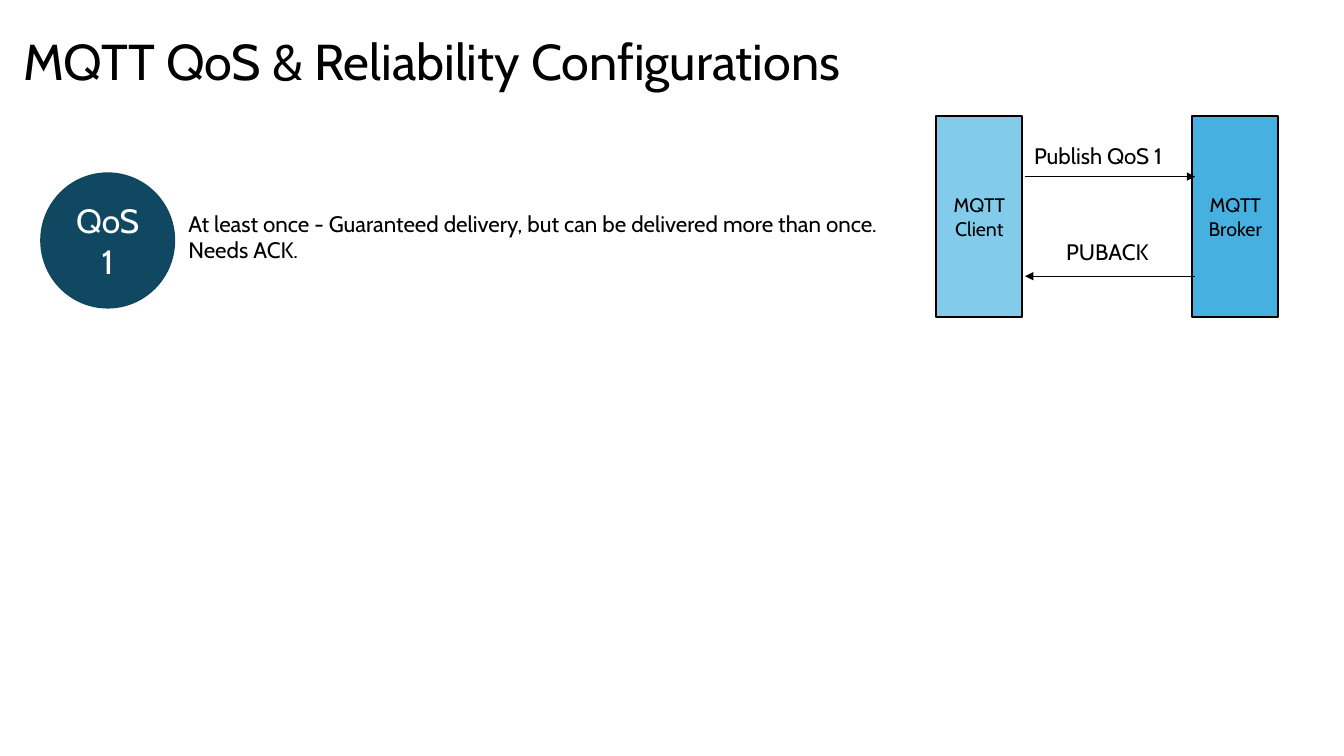
from dataclasses import dataclass

from lxml.etree import SubElement
from pptx import Presentation
from pptx.dml.color import RGBColor
from pptx.enum.shapes import MSO_CONNECTOR, MSO_SHAPE
from pptx.enum.text import MSO_ANCHOR, MSO_AUTO_SIZE, PP_ALIGN
from pptx.oxml.ns import qn
from pptx.slide import Slide
from pptx.text.text import TextFrame
from pptx.util import Cm, Pt


@dataclass(frozen=True)
class Theme:
    font: str = "Cabin"
    black: str = "000000"
    white: str = "FFFFFF"
    navy: str = "104862"
    navy_line: str = "104760"
    client: str = "83CBEB"
    broker: str = "46B1E1"
    title: float = 36
    badge: float = 24
    body: float = 16
    node: float = 14
    outline: float = 1.5
    arrow: float = 1


THEME = Theme()


@dataclass(frozen=True)
class Box:
    """A filled, labelled shape; lengths in centimetres."""
    kind: MSO_SHAPE
    left: float
    top: float
    width: float
    height: float
    text: str
    fill: str
    line: str
    size: float
    color: str = THEME.black


@dataclass(frozen=True)
class Label:
    left: float
    top: float
    width: float
    height: float
    text: str


@dataclass(frozen=True)
class Message:
    """A horizontal arrow between the two nodes."""
    start: float
    end: float
    y: float


NODE_TOP, NODE_W, NODE_H = 2.92, 2.16, 5.08
CLIENT_EDGE, BROKER_EDGE = 25.83, 30.12

BOXES = [
    Box(MSO_SHAPE.OVAL, 1.04, 4.37, 3.35, 3.38, "QoS\n1",
        THEME.navy, THEME.navy_line, THEME.badge, THEME.white),
    Box(MSO_SHAPE.RECTANGLE, 23.6, NODE_TOP, NODE_W, NODE_H, "MQTT Client",
        THEME.client, THEME.black, THEME.node),
    Box(MSO_SHAPE.RECTANGLE, 30.05, NODE_TOP, NODE_W, NODE_H, "MQTT Broker",
        THEME.broker, THEME.black, THEME.node),
]
LABELS = [
    Label(4.5, 5.16, 18.52, 1.63,
          "At least once - Guaranteed delivery, but can be delivered more than once.\n"
          "Needs ACK."),
    Label(25.81, 3.45, 3.94, 0.94, "Publish QoS 1"),
    Label(26.62, 5.87, 2.62, 0.94, "PUBACK"),
]
MESSAGES = [
    Message(CLIENT_EDGE, BROKER_EDGE, 4.45),
    Message(BROKER_EDGE, CLIENT_EDGE, 6.96),
]


def set_text(tf: TextFrame, text: str, size: float, color: str = THEME.black,
             align: PP_ALIGN = PP_ALIGN.LEFT,
             anchor: MSO_ANCHOR = MSO_ANCHOR.MIDDLE) -> None:
    tf.text = text
    frame_format = {"word_wrap": True, "auto_size": MSO_AUTO_SIZE.NONE,
                    "vertical_anchor": anchor}
    for name, value in frame_format.items():
        setattr(tf, name, value)
    for p in tf.paragraphs:
        p.alignment = align
        for r in p.runs:
            for name, value in {"name": THEME.font, "size": Pt(size)}.items():
                setattr(r.font, name, value)
            r.font.color.rgb = RGBColor.from_string(color)


def add_title(s: Slide, text: str) -> None:
    title = s.shapes.title
    place = {"left": 0.33, "top": 0.3, "width": 29.21, "height": 2.62}
    for name, value in place.items():
        setattr(title, name, Cm(value))
    set_text(title.text_frame, text, THEME.title)
    title.text_frame.paragraphs[0].line_spacing = 0.9


def add_box(s: Slide, box: Box) -> None:
    sp = s.shapes.add_shape(box.kind, Cm(box.left), Cm(box.top),
                            Cm(box.width), Cm(box.height))
    sp.shadow.inherit = False
    sp.fill.solid()
    sp.fill.fore_color.rgb = RGBColor.from_string(box.fill)
    sp.line.color.rgb = RGBColor.from_string(box.line)
    sp.line.width = Pt(THEME.outline)
    set_text(sp.text_frame, box.text, box.size, box.color, PP_ALIGN.CENTER)


def add_label(s: Slide, label: Label) -> None:
    sp = s.shapes.add_textbox(Cm(label.left), Cm(label.top),
                              Cm(label.width), Cm(label.height))
    set_text(sp.text_frame, label.text, THEME.body, anchor=MSO_ANCHOR.TOP)


def add_message(s: Slide, message: Message) -> None:
    arrow = s.shapes.add_connector(MSO_CONNECTOR.STRAIGHT,
                                   Cm(message.start), Cm(message.y),
                                   Cm(message.end), Cm(message.y))
    arrow.line.color.rgb = RGBColor.from_string(THEME.black)
    arrow.line.width = Pt(THEME.arrow)
    SubElement(arrow.line._get_or_add_ln(), qn("a:tailEnd"), type="triangle")
    SubElement(arrow._element.spPr, qn("a:effectLst"))


def main() -> None:
    prs = Presentation()
    prs.slide_width, prs.slide_height = Cm(33.87), Cm(19.05)
    s = prs.slides.add_slide(prs.slide_layouts[5])
    add_title(s, "MQTT QoS & Reliability Configurations")
    for box in BOXES:
        add_box(s, box)
    for label in LABELS:
        add_label(s, label)
    for message in MESSAGES:
        add_message(s, message)
    prs.save("out.pptx")


if __name__ == "__main__":
    main()
